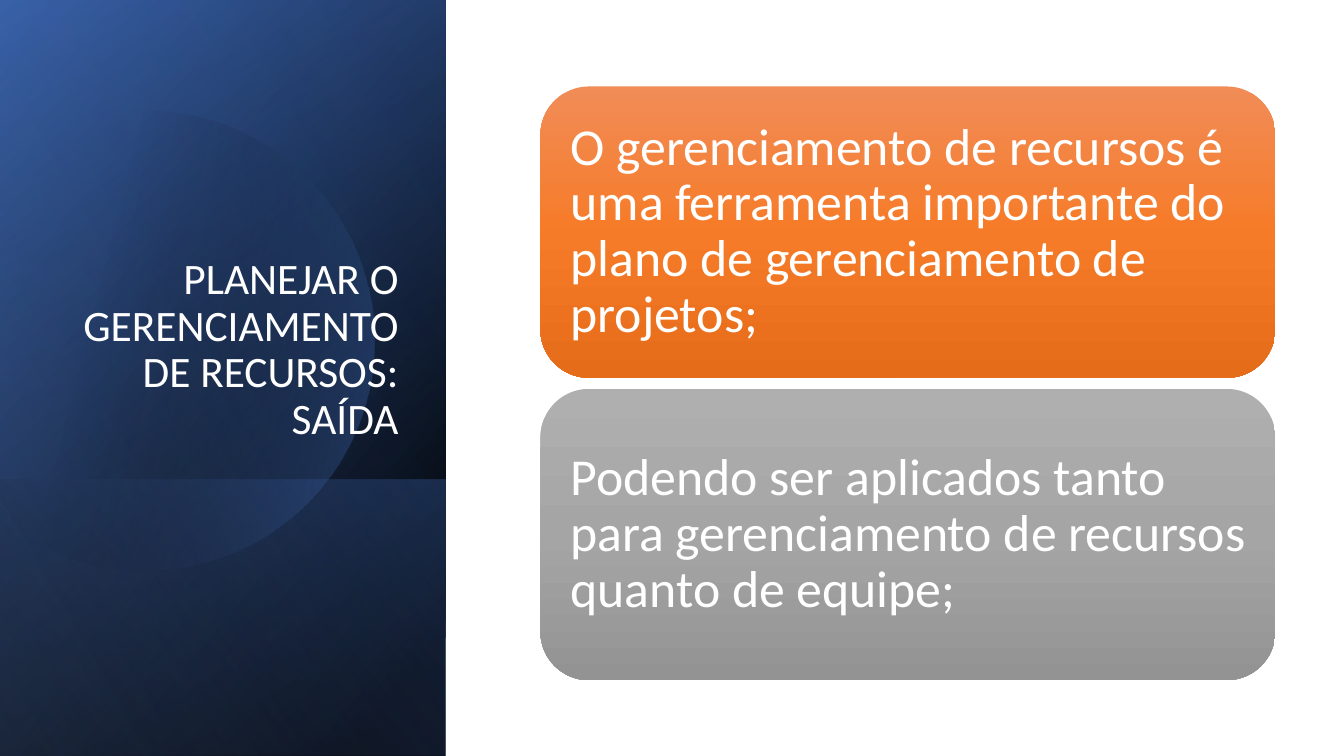
import math
import lxml.etree
import pptx
import pptx.dml.color
import pptx.enum.shapes
import pptx.enum.text
import pptx.oxml
import pptx.oxml.ns
import pptx.util

Cm = pptx.util.Cm
Pt = pptx.util.Pt
RGBColor = pptx.dml.color.RGBColor
SHAPES = pptx.enum.shapes.MSO_SHAPE
ANCHOR = pptx.enum.text.MSO_ANCHOR
ALIGN = pptx.enum.text.PP_ALIGN
qn = pptx.oxml.ns.qn

WHITE = RGBColor(0xFF, 0xFF, 0xFF)
BLACK = RGBColor(0x00, 0x00, 0x00)
BLUE = RGBColor(0x44, 0x72, 0xC4)
DARK_BLUE = RGBColor(0x2F, 0x55, 0x97)
LIGHT_BLUE = RGBColor(0x8F, 0xAA, 0xDC)
ORANGES = [RGBColor(0xF1, 0x8C, 0x57), RGBColor(0xF6, 0x7B, 0x28), RGBColor(0xE5, 0x6C, 0x19)]
GRAYS = [RGBColor(0xAF, 0xAF, 0xAF), RGBColor(0xA5, 0xA5, 0xA5), RGBColor(0x93, 0x93, 0x93)]

PANEL_WIDTH = 11.23
SLIDE_HEIGHT = 19.05


class SlideBuilder:
    font_name = "Calibri"

    def __init__(self, slide):
        self.slide = slide

    def paint(self, shape, stops, angle):
        shape.shadow.inherit = False
        shape.line.fill.background()
        shape.fill.solid()
        solid = shape._element.spPr.find(qn("a:solidFill"))
        gradient = pptx.oxml.parse_xml(
            f'<a:gradFill {pptx.oxml.ns.nsdecls("a")} rotWithShape="1"><a:gsLst/>'
            f'<a:lin ang="{angle * 60000}" scaled="0"/></a:gradFill>')
        for position, color, opacity in stops:
            stop = lxml.etree.SubElement(gradient[0], qn("a:gs"), pos=str(position * 1000))
            value = lxml.etree.SubElement(stop, qn("a:srgbClr"), val=str(color))
            if opacity < 100:
                lxml.etree.SubElement(value, qn("a:alpha"), val=str(opacity * 1000))
        solid.getparent().replace(solid, gradient)

    def panel(self, height, stops, angle):
        left = (PANEL_WIDTH - height) / 2
        top = SLIDE_HEIGHT - (height + PANEL_WIDTH) / 2
        shape = self.slide.shapes.add_shape(
            SHAPES.RECTANGLE, Cm(left), Cm(top), Cm(height), Cm(PANEL_WIDTH))
        shape.rotation = 90
        shape._element.spPr.find(qn("a:xfrm")).set("flipH", "1")
        self.paint(shape, stops, angle)

    def cut_circle(self, center_x, center_y, radius, stops, angle):
        limit = math.acos(-center_x / radius)
        turns = [limit * step / 60 for step in range(-60, 61)]
        points = [(Cm(center_x + radius * math.cos(turn)), Cm(center_y + radius * math.sin(turn)))
                  for turn in turns]
        outline = self.slide.shapes.build_freeform(*points[0])
        outline.add_line_segments(points[1:], close=True)
        self.paint(outline.convert_to_shape(), stops, angle)

    def set_text(self, shape, text, size, alignment, anchor):
        frame = shape.text_frame
        frame.word_wrap = True
        frame.vertical_anchor = anchor
        paragraph = frame.paragraphs[0]
        paragraph.text = text
        paragraph.alignment = alignment
        paragraph.line_spacing = 0.9
        paragraph.font.name = self.font_name
        paragraph.font.size = Pt(size)
        paragraph.font.color.rgb = WHITE

    def title(self, text, left, top, width, height):
        box = self.slide.shapes.add_textbox(Cm(left), Cm(top), Cm(width), Cm(height))
        self.set_text(box, text, 31, ALIGN.RIGHT, ANCHOR.BOTTOM)

    def card(self, text, colors, left, top, width, height):
        shape = self.slide.shapes.add_shape(
            SHAPES.ROUNDED_RECTANGLE, Cm(left), Cm(top), Cm(width), Cm(height))
        self.paint(shape, [(50 * index, color, 100) for index, color in enumerate(colors)], 90)
        self.set_text(shape, text, 37, ALIGN.LEFT, ANCHOR.MIDDLE)
        shape.text_frame.margin_left = Cm(0.4)
        shape.text_frame.margin_right = Cm(0.2)


presentation = pptx.Presentation()
presentation.slide_width = Cm(33.87)
presentation.slide_height = Cm(SLIDE_HEIGHT)
builder = SlideBuilder(presentation.slides.add_slide(presentation.slide_layouts[6]))

builder.panel(SLIDE_HEIGHT, [(8, BLACK, 100), (100, DARK_BLUE, 100)], 50)
builder.panel(SLIDE_HEIGHT, [(0, BLACK, 0), (99, BLUE, 46)], 30)
builder.panel(6.96, [(2, BLUE, 29), (100, BLACK, 30)], 130)
builder.cut_circle(3.66, 8.59, 5.79, [(29, BLACK, 0), (100, BLUE, 43)], 14)
builder.panel(SLIDE_HEIGHT, [(0, BLACK, 0), (99, LIGHT_BLUE, 11)], 120)

builder.title("PLANEJAR O GERENCIAMENTO DE RECURSOS: SAÍDA", 1.63, 4.67, 8.66, 6.65)

cards = [
    ("O gerenciamento de recursos é uma ferramenta importante do plano de "
     "gerenciamento de projetos;", ORANGES),
    ("Podendo ser aplicados tanto para gerenciamento de recursos quanto de equipe;", GRAYS),
]
for index, (text, colors) in enumerate(cards):
    builder.card(text, colors, 13.62, 2.18 + 7.62 * index, 18.52, 7.34)

presentation.save("out.pptx")
